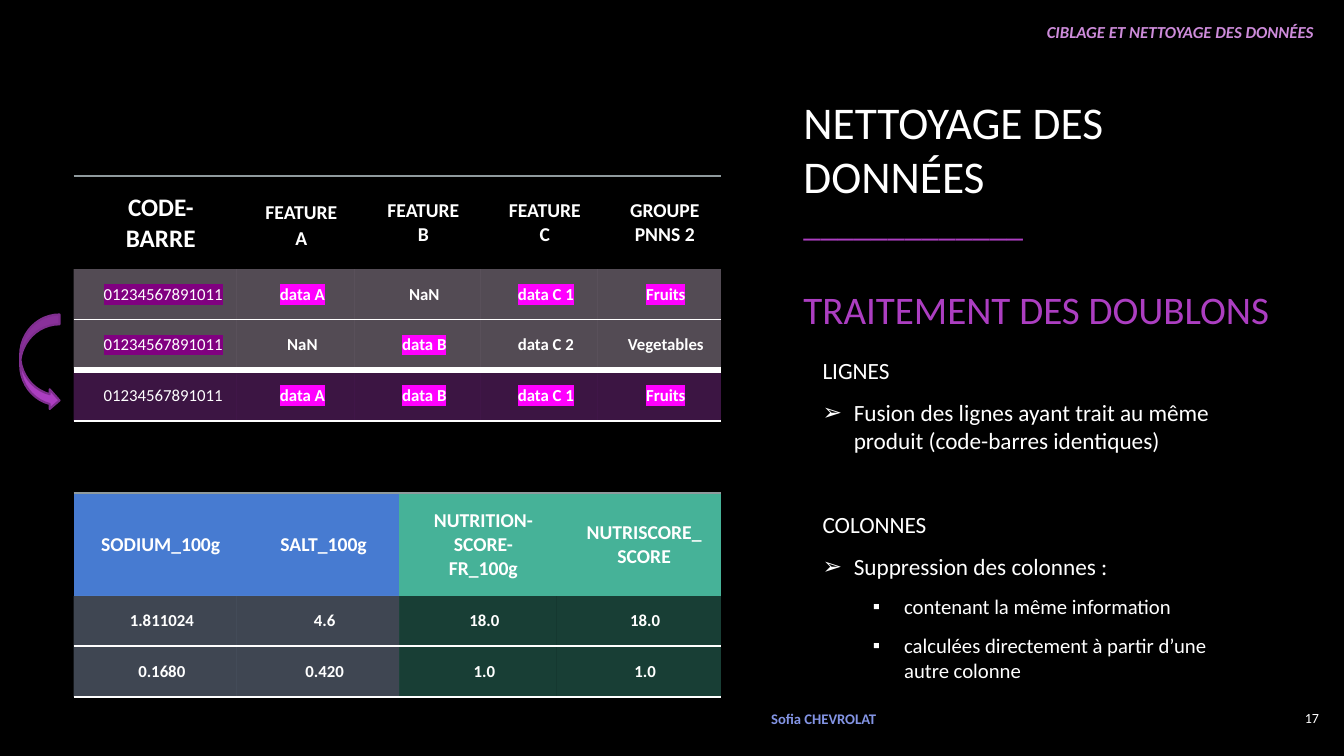
"""Build the slide about handling duplicates during data cleaning."""
from dataclasses import dataclass

from lxml import etree
from pptx import Presentation
from pptx.dml.color import RGBColor
from pptx.enum.shapes import MSO_SHAPE
from pptx.enum.text import MSO_ANCHOR, PP_ALIGN
from pptx.oxml.ns import qn
from pptx.util import Inches, Pt

LEFT, CENTER, RIGHT = PP_ALIGN.LEFT, PP_ALIGN.CENTER, PP_ALIGN.RIGHT
TOP, MIDDLE = MSO_ANCHOR.TOP, MSO_ANCHOR.MIDDLE
CURVED_ARROW = MSO_SHAPE.CURVED_RIGHT_ARROW

BLACK = RGBColor(0x00, 0x00, 0x00)
WHITE = RGBColor(0xFF, 0xFF, 0xFF)
PURPLE = RGBColor(0xAC, 0x3E, 0xC1)
DARK_PURPLE = RGBColor(0x7F, 0x2E, 0x8F)
LILAC = RGBColor(0xCD, 0x8B, 0xDA)
PALE_LILAC = RGBColor(0xEE, 0xD8, 0xF3)
PERIWINKLE = RGBColor(0x83, 0x94, 0xE4)
BLUE = RGBColor(0x47, 0x7B, 0xD1)
PALE_BLUE = RGBColor(0xB5, 0xCA, 0xED)
GREEN = RGBColor(0x46, 0xB2, 0x98)
GREY = RGBColor(0x8F, 0x9A, 0x9D)
KEY_MARK = RGBColor(0x80, 0x00, 0x80)
KEPT_MARK = RGBColor(0xFF, 0x00, 0xFF)

FONT = "Calibri"
NO_STYLE = "{2D5ABB26-0587-4C30-8999-92F81FD0307C}"
ROW_ALPHA = 35
TOP_ALPHA = 60


@dataclass
class Para:
    text: str
    size: float
    color: RGBColor = WHITE
    bold: bool = False
    italic: bool = False
    align: PP_ALIGN = LEFT
    before: float = 0
    after: float = 0
    bullet: str = ""
    level: int = 0
    margin: float = 0


@dataclass
class Cell:
    text: str
    mark: RGBColor | None = None
    size: float = 12
    bold: bool = True
    align: PP_ALIGN = CENTER
    gap_size: float = 0


@dataclass
class Row:
    height: float
    cells: list[Cell]
    fills: list[RGBColor | None]
    rule: float = 1.5
    header: bool = False


def add_color(parent, color: RGBColor, alpha: int = 100) -> None:
    srgb = etree.SubElement(parent, qn("a:srgbClr"), val=str(color))
    if alpha < 100:
        etree.SubElement(srgb, qn("a:alpha"), val=str(alpha * 1000))


def write_para(paragraph, para: Para) -> None:
    paragraph.text = para.text
    paragraph.alignment = para.align
    paragraph.level = para.level
    paragraph.space_before, paragraph.space_after = Pt(para.before), Pt(para.after)
    props = paragraph._p.get_or_add_pPr()
    if para.bullet:
        props.set("marL", str(Inches(para.margin)))
        props.set("indent", str(Inches(-0.31)))
        add_color(etree.SubElement(props, qn("a:buClr")), WHITE)
        etree.SubElement(props, qn("a:buFont"), typeface="Arial")
        etree.SubElement(props, qn("a:buChar"), char=para.bullet)
    font = paragraph.font
    font.name, font.size = FONT, Pt(para.size)
    font.bold, font.italic = para.bold, para.italic
    font.color.rgb = para.color


def add_text(slide, box: tuple[float, ...], paras: list[Para], anchor=MIDDLE) -> None:
    frame = slide.shapes.add_textbox(*map(Inches, box)).text_frame
    frame.word_wrap = True
    frame.vertical_anchor = anchor
    for index, para in enumerate(paras):
        write_para(frame.add_paragraph() if index else frame.paragraphs[0], para)


def add_border(props, side: str, color: RGBColor, width: float, alpha: int = 100) -> None:
    line = etree.SubElement(props, qn(f"a:{side}"), w=str(Pt(width)))
    add_color(etree.SubElement(line, qn("a:solidFill")), color, alpha)


def write_cell(target, cell: Cell, header: bool) -> None:
    pad = Inches(0.16 if header else 0.14)
    target.margin_left = Inches(0.27)
    target.margin_right = target.margin_top = target.margin_bottom = pad
    target.vertical_anchor = MIDDLE
    paragraph = target.text_frame.paragraphs[0]
    write_para(paragraph, Para(cell.text, cell.size, bold=cell.bold, align=cell.align))
    if cell.gap_size:
        first, gap, last = cell.text.partition(" ")
        paragraph.runs[0].text = first
        for piece in (gap, last):
            paragraph.add_run().text = piece
        paragraph.runs[1].font.size = Pt(cell.gap_size)
    if cell.mark is not None:
        run_props = paragraph.runs[0]._r.get_or_add_rPr()
        add_color(etree.SubElement(run_props, qn("a:highlight")), cell.mark)


def add_grid(slide, left: float, top: float, widths: list[float], rows: list[Row]) -> None:
    total = sum(row.height for row in rows)
    table = slide.shapes.add_table(len(rows), len(widths), Inches(left), Inches(top),
                                   Inches(sum(widths)), Inches(total)).table
    table.first_row = table.horz_banding = False
    table._tbl.tblPr.find(qn("a:tableStyleId")).text = NO_STYLE
    for column, width in zip(table.columns, widths):
        column.width = Inches(width)
    for r, row in enumerate(rows):
        table.rows[r].height = Inches(row.height)
        for c, (cell, fill) in enumerate(zip(row.cells, row.fills)):
            target = table.cell(r, c)
            write_cell(target, cell, row.header)
            props = target._tc.get_or_add_tcPr()
            if row.header:
                add_border(props, "lnT", GREY, 1.5, TOP_ALPHA)
            else:
                if not rows[r - 1].header:
                    add_border(props, "lnT", WHITE, rows[r - 1].rule)
                add_border(props, "lnB", WHITE, row.rule)
            if fill is None:
                target.fill.background()
                continue
            target.fill.solid()
            target.fill.fore_color.rgb = fill
            if not row.header:
                srgb = props.find(qn("a:solidFill")).find(qn("a:srgbClr"))
                etree.SubElement(srgb, qn("a:alpha"), val=str(ROW_ALPHA * 1000))


def product_row(values: list[str], kept: str, fill: RGBColor, key_mark: RGBColor | None,
                rule: float = 1.5, height: float = 0.5) -> Row:
    code = Cell("01234567891011", key_mark, bold=False, align=RIGHT)
    data = [Cell(value, KEPT_MARK if flag == "x" else None) for value, flag in zip(values, kept)]
    return Row(height, [code, *data], [fill] * 5, rule)


def main() -> None:
    deck = Presentation()
    deck.slide_width, deck.slide_height = Inches(13.33), Inches(7.5)
    slide = deck.slides.add_slide(deck.slide_layouts[6])
    slide.background.fill.solid()
    slide.background.fill.fore_color.rgb = BLACK

    arrow_item = {"bullet": "➢", "margin": 0.31, "after": 10}
    square_item = {"bullet": "▪", "margin": 0.81, "after": 10, "level": 1}
    add_text(slide, (8.06, 3.48, 4.33, 3.35), [
        Para("LIGNES", 16.6, after=10),
        Para("Fusion des lignes ayant trait au même produit (code-barres identiques)",
             16.6, **arrow_item),
        Para("COLONNES", 16.6, before=30, after=10),
        Para("Suppression des colonnes :", 16.6, **arrow_item),
        Para("contenant la même information", 14.8, **square_item),
        Para("calculées directement à partir d’une autre colonne", 14.8, **square_item),
    ])
    add_text(slide, (7.67, 0.17, 5.46, 0.3), [
        Para("CIBLAGE ET NETTOYAGE DES DONNÉES", 12, LILAC, True, True, RIGHT)], TOP)
    add_text(slide, (12.58, 6.92, 0.6, 0.41), [Para("17", 10, align=RIGHT)])
    add_text(slide, (7.55, 6.92, 1.76, 0.41), [Para("Sofia CHEVROLAT", 10.5, PERIWINKLE, True)])
    add_text(slide, (7.87, 0.84, 5, 2.55), [
        Para("NETTOYAGE DES DONNÉES", 32.4),
        Para("_" * 13, 24.3, PURPLE),
        Para("TRAITEMENT DES DOUBLONS", 27.9, PURPLE, before=30),
    ])

    features = [Cell("CODE-BARRE", size=18), Cell("FEATURE A", size=14, gap_size=19)]
    features += [Cell(name, size=14) for name in ("FEATURE B", "FEATURE C", "GROUPE PNNS 2")]
    add_grid(slide, 0.73, 1.75, [1.62, 1.17, 1.25, 1.16, 1.22], [
        Row(0.92, features, [None] * 5, header=True),
        product_row(["data A", "NaN", "data C 1", "Fruits"], "x-xx", PALE_LILAC, KEY_MARK),
        product_row(["NaN", "data B", "data C 2", "Vegetables"], "-x--", PALE_LILAC, KEY_MARK, 4.5),
        product_row(["data A", "data B", "data C 1", "Fruits"], "xxxx", PURPLE, None, height=0.51),
    ])

    nutrients = ["SODIUM_100g", "SALT_100g", "NUTRITION-SCORE-FR_100g", "NUTRISCORE_SCORE"]
    samples = [["1.811024", "4.6", "18.0", "18.0"], ["0.1680", "0.420", "1.0", "1.0"]]
    sample_fills = [PALE_BLUE] * 2 + [GREEN] * 2
    add_grid(slide, 0.73, 4.89, [1.62, 1.61, 1.56, 1.63], [
        Row(1.02, [Cell(name, size=14) for name in nutrients],
            [BLUE] * 2 + [GREEN] * 2, header=True),
        *(Row(0.5, [Cell(value) for value in sample], sample_fills) for sample in samples),
    ])

    merge_arrow = slide.shapes.add_shape(CURVED_ARROW, Inches(0.2), Inches(3.12),
                                         Inches(0.39), Inches(0.95))
    merge_arrow.shadow.inherit = False
    merge_arrow.fill.solid()
    merge_arrow.fill.fore_color.rgb = PURPLE
    merge_arrow.line.color.rgb = DARK_PURPLE
    merge_arrow.line.width = Pt(1.5)

    deck.save("out.pptx")


if __name__ == "__main__":
    main()
